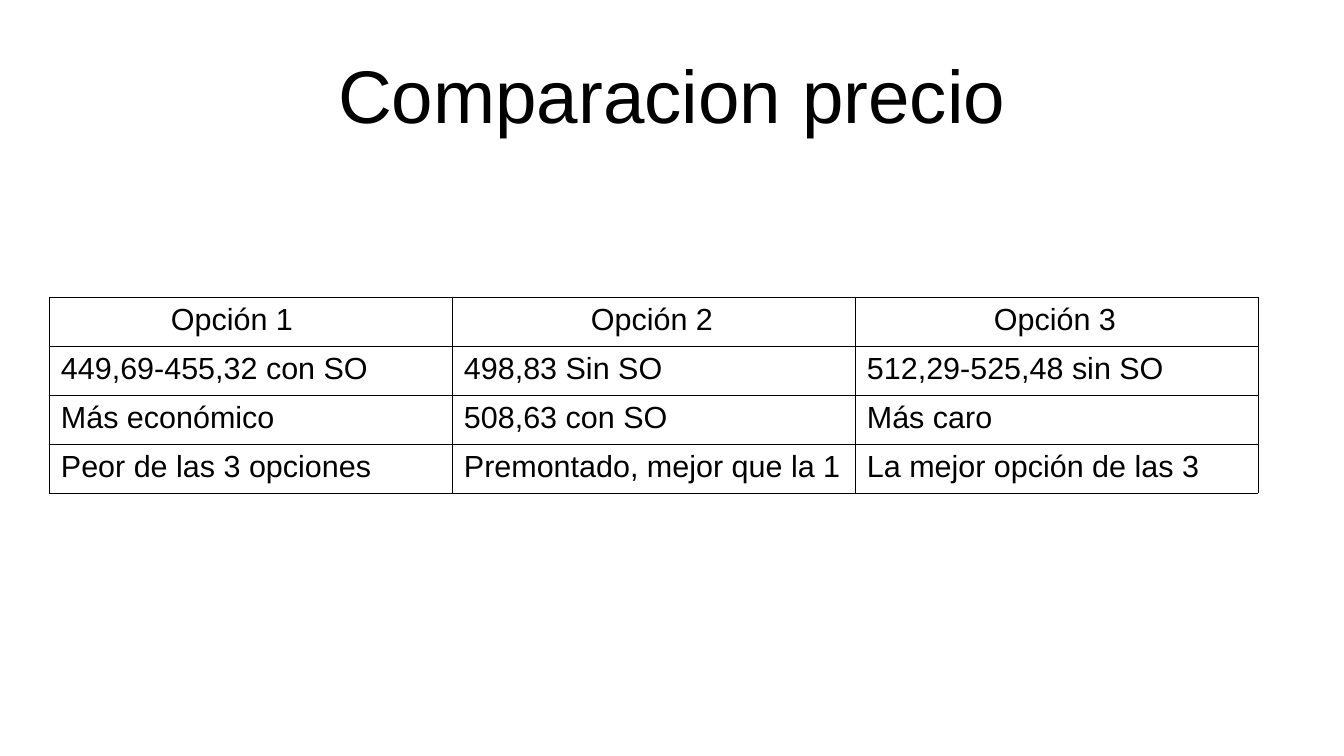
from dataclasses import dataclass

from lxml import etree
from pptx import Presentation, util as u
from pptx.dml.color import RGBColor
from pptx.enum import text
from pptx.oxml.ns import qn

EMU_PER_PX = 7495
FONT = "Arial"
COLORS = {"ink": "000000", "border": "000000"}
BORDER_PT = 0.57
COLUMN_WIDTH, ROW_HEIGHT = 403, 49
PAD_X, PAD_Y = 12, 6


@dataclass(frozen=True)
class Option:
    heading: str
    heading_indent: int
    remarks: tuple[str, ...]


OPTIONS = (
    Option("Opción 1", 110,
           ("449,69-455,32 con SO", "Más económico", "Peor de las 3 opciones")),
    Option("Opción 2", 127,
           ("498,83 Sin SO", "508,63 con SO", "Premontado, mejor que la 1")),
    Option("Opción 3", 127,
           ("512,29-525,48 sin SO", "Más caro", "La mejor opción de las 3")),
)


def px(length: int) -> u.Emu:
    return u.Emu(length * EMU_PER_PX)


def write(frame, content: str, size: int, align: text.PP_ALIGN) -> None:
    frame.text = content
    paragraph = frame.paragraphs[0]
    paragraph.alignment = align
    font = paragraph.runs[0].font
    font.name, font.size = FONT, u.Pt(size)
    font.color.rgb = RGBColor.from_string(COLORS["ink"])


def add_title(slide, content: str) -> None:
    title = slide.shapes.add_textbox(px(67), px(30), px(1210), px(127))
    frame = title.text_frame
    frame.word_wrap = True
    frame.vertical_anchor = text.MSO_ANCHOR.MIDDLE
    frame.margin_left = frame.margin_right = 0
    frame.margin_top = frame.margin_bottom = 0
    write(frame, content, 44, text.PP_ALIGN.CENTER)


def outline(cell) -> None:
    properties = cell._tc.get_or_add_tcPr()
    for side in ("lnL", "lnR", "lnT", "lnB"):
        line = etree.SubElement(properties, qn(f"a:{side}"), w=str(u.Pt(BORDER_PT)))
        fill = etree.SubElement(line, qn("a:solidFill"))
        etree.SubElement(fill, qn("a:srgbClr"), val=COLORS["border"])


def fill_cell(cell, content: str, indent: int = 0) -> None:
    outline(cell)
    cell.fill.background()
    cell.margin_left, cell.margin_right = px(PAD_X + indent), px(PAD_X)
    cell.margin_top = cell.margin_bottom = px(PAD_Y)
    write(cell.text_frame, content, 18, text.PP_ALIGN.LEFT)


def add_comparison(slide, options: tuple[Option, ...]) -> None:
    row_count = 1 + len(options[0].remarks)
    comparison = slide.shapes.add_table(
        row_count, len(options), px(49), px(297),
        px(COLUMN_WIDTH * len(options)), px(ROW_HEIGHT * row_count)).table
    comparison.first_row = comparison.horz_banding = False
    for column in comparison.columns:
        column.width = px(COLUMN_WIDTH)
    for row in comparison.rows:
        row.height = px(ROW_HEIGHT)
    for column_index, option in enumerate(options):
        fill_cell(comparison.cell(0, column_index), option.heading, option.heading_indent)
        for row_index, remark in enumerate(option.remarks, start=1):
            fill_cell(comparison.cell(row_index, column_index), remark)


def main() -> None:
    presentation = Presentation()
    presentation.slide_width, presentation.slide_height = px(1344), px(756)
    slide = presentation.slides.add_slide(presentation.slide_layouts[6])

    # Heading
    add_title(slide, "Comparacion precio")

    # Price comparison, one column per option
    add_comparison(slide, OPTIONS)

    presentation.save("out.pptx")


if __name__ == "__main__":
    main()
